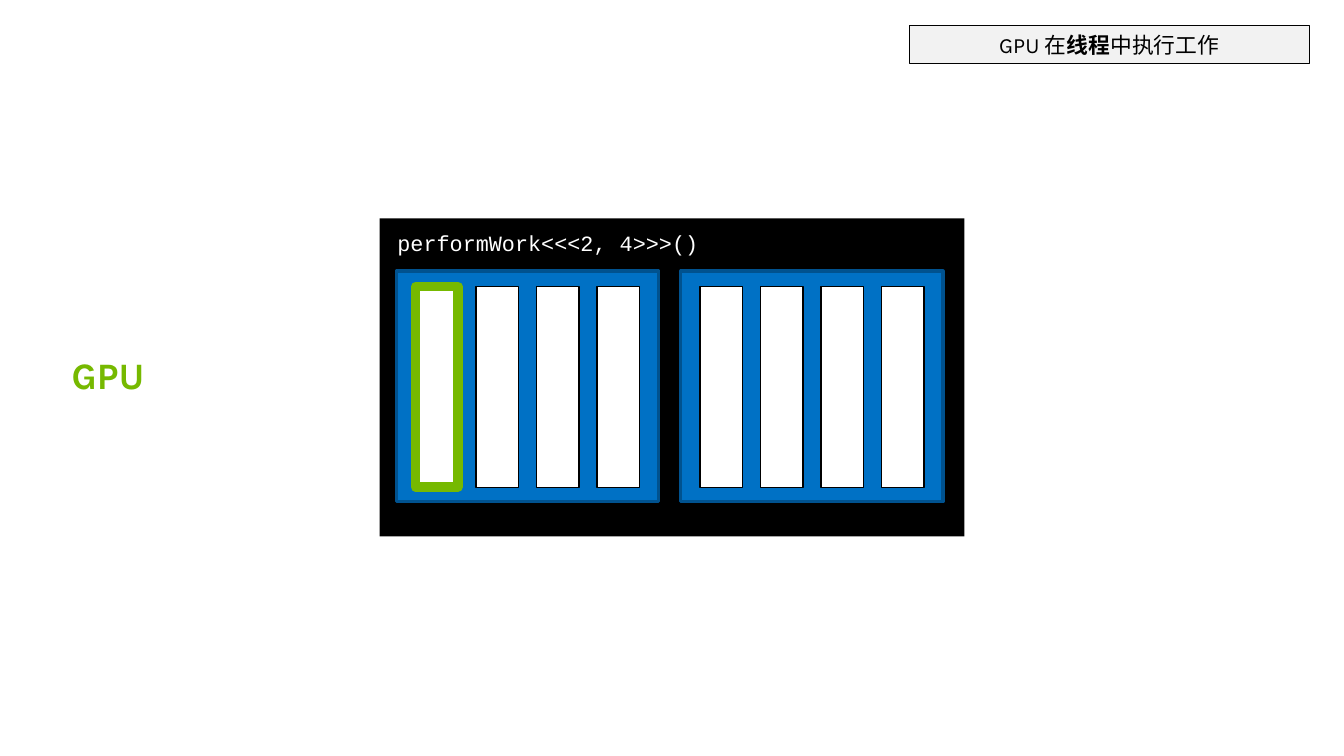
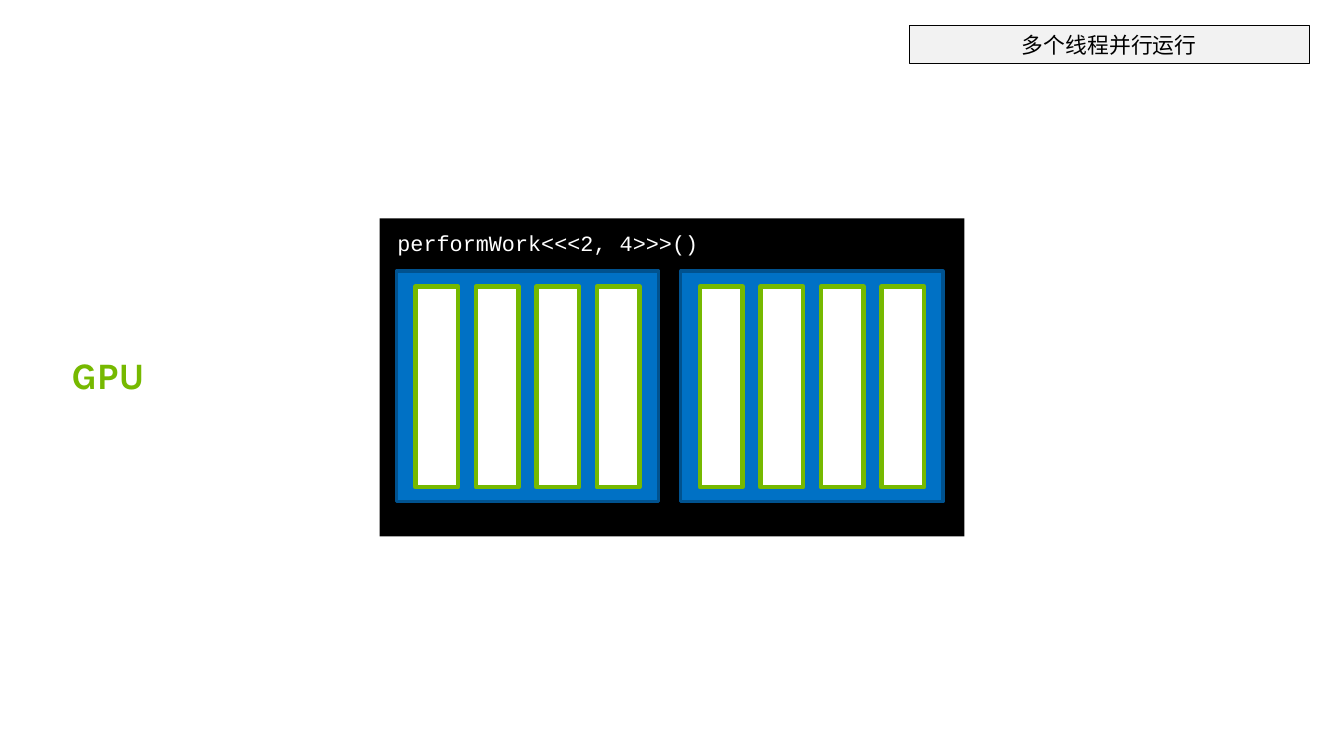
"""Build two slides on how a GPU runs the threads of a kernel."""
from pptx import Presentation
from pptx.dml.color import RGBColor
from pptx.enum.shapes import MSO_SHAPE
from pptx.enum.text import MSO_ANCHOR, MSO_AUTO_SIZE, PP_ALIGN
from pptx.oxml.ns import qn
from pptx.util import Inches, Pt

RECTANGLE = MSO_SHAPE.RECTANGLE
MIDDLE, BOTTOM = MSO_ANCHOR.MIDDLE, MSO_ANCHOR.BOTTOM
LEFT, CENTER = PP_ALIGN.LEFT, PP_ALIGN.CENTER
NO_AUTOFIT = MSO_AUTO_SIZE.NONE
TITLE_ONLY = 5

BLACK, WHITE, GREY = "000000", "FFFFFF", "F2F2F2"
GREEN, BLUE, DARK_BLUE = "76B900", "0071C5", "00528F"
LATIN, CHINESE, CODE = "Karla", "Noto Sans CJK SC", "Courier New"

BLOCKS, THREADS = 2, 4
BLOCK_LEFT, BLOCK_PITCH = 3.54, 2.54
THREAD_INSET, THREAD_PITCH = 0.17, 0.54
IDLE = (BLACK, 0.75)


def color(value):
    return RGBColor.from_string(value)


def add_box(shapes, box, fill, line=None):
    shape = shapes.add_shape(RECTANGLE, *map(Inches, box))
    shape.shadow.inherit = False
    shape.fill.solid()
    shape.fill.fore_color.rgb = color(fill)
    if line:
        line_color, width = line
        shape.line.color.rgb = color(line_color)
        shape.line.width = Pt(width)
    else:
        shape.line.fill.background()
    return shape


def style_text(shape, size, text_color, alignment, anchor):
    frame = shape.text_frame
    frame.word_wrap = True
    frame.vertical_anchor = anchor
    paragraph = frame.paragraphs[0]
    paragraph.alignment = alignment
    paragraph.font.size = Pt(size)
    paragraph.font.color.rgb = color(text_color)
    return paragraph


def add_title(slide):
    title = slide.shapes.title
    title.left, title.top, title.width, title.height = map(Inches, (0.54, 3.14, 0.97, 0.46))
    title.text = "GPU"
    title.text_frame.auto_size = NO_AUTOFIT
    paragraph = style_text(title, 24, GREEN, LEFT, BOTTOM)
    paragraph.line_spacing = 0.9
    paragraph.font.name = LATIN
    paragraph.font.bold = True


def add_caption(slide, runs):
    caption = add_box(slide.shapes, (8.12, 0.23, 3.57, 0.34), GREY, IDLE)
    paragraph = style_text(caption, 14, BLACK, CENTER, MIDDLE)
    for text, font_name, bold in runs:
        run = paragraph.add_run()
        run.text = text
        run.font.name = font_name
        run.font.bold = bold
        east_asian = run.font._element.makeelement(qn("a:ea"), {"typeface": CHINESE})
        run.font._element.append(east_asian)


def add_kernel(slide, thread_lines):
    shapes = slide.shapes.add_group_shape().shapes
    add_box(shapes, (3.39, 1.95, 5.22, 2.84), BLACK)
    call = add_box(shapes, (3.45, 2.04, 3.06, 0.25), BLACK)
    call.text_frame.text = "performWork<<<2, 4>>>()"
    style_text(call, 14, WHITE, LEFT, MIDDLE).font.name = CODE
    for block in range(BLOCKS):
        left = BLOCK_LEFT + block * BLOCK_PITCH
        add_box(shapes, (left, 2.42, 2.34, 2.06), BLUE, (DARK_BLUE, 2))
        for thread in range(THREADS):
            thread_left = left + THREAD_INSET + thread * THREAD_PITCH
            line = thread_lines[block * THREADS + thread]
            add_box(shapes, (thread_left, 2.56, 0.38, 1.79), WHITE, line)


def add_thread_slide(presentation, caption_runs, thread_lines):
    slide = presentation.slides.add_slide(presentation.slide_layouts[TITLE_ONLY])
    add_title(slide)
    add_kernel(slide, thread_lines)
    add_caption(slide, caption_runs)


def main():
    presentation = Presentation()
    presentation.slide_width = Inches(12)
    presentation.slide_height = Inches(6.75)
    total = BLOCKS * THREADS
    add_thread_slide(
        presentation,
        [
            ("GPU ", LATIN, False),
            ("在", CHINESE, False),
            ("线程", CHINESE, True),
            ("中执行工作", CHINESE, False),
        ],
        [(GREEN, 6)] + [IDLE] * (total - 1),
    )
    add_thread_slide(
        presentation,
        [("多个线程并行运行", CHINESE, False)],
        [(GREEN, 3)] * total,
    )
    presentation.save("out.pptx")


if __name__ == "__main__":
    main()
